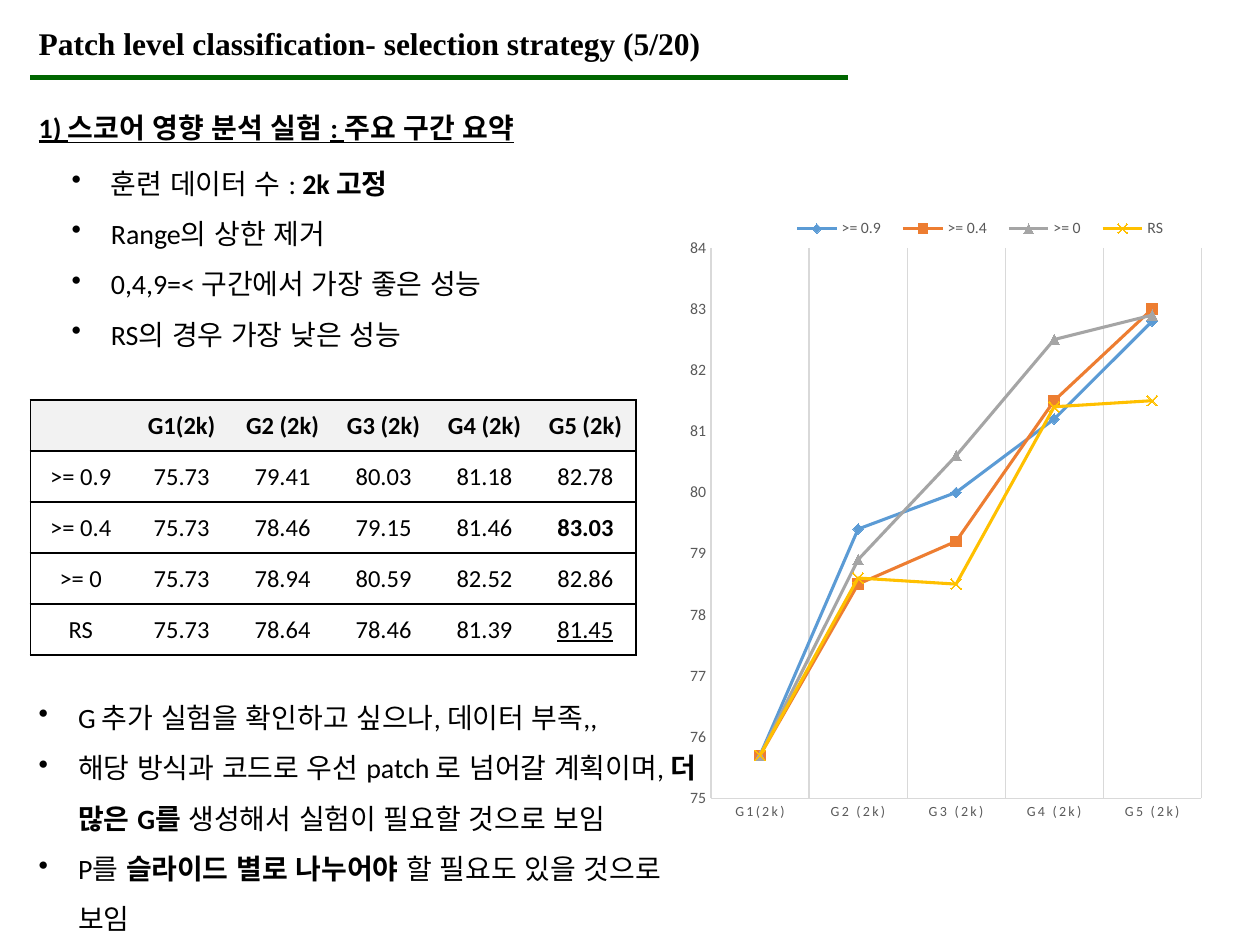
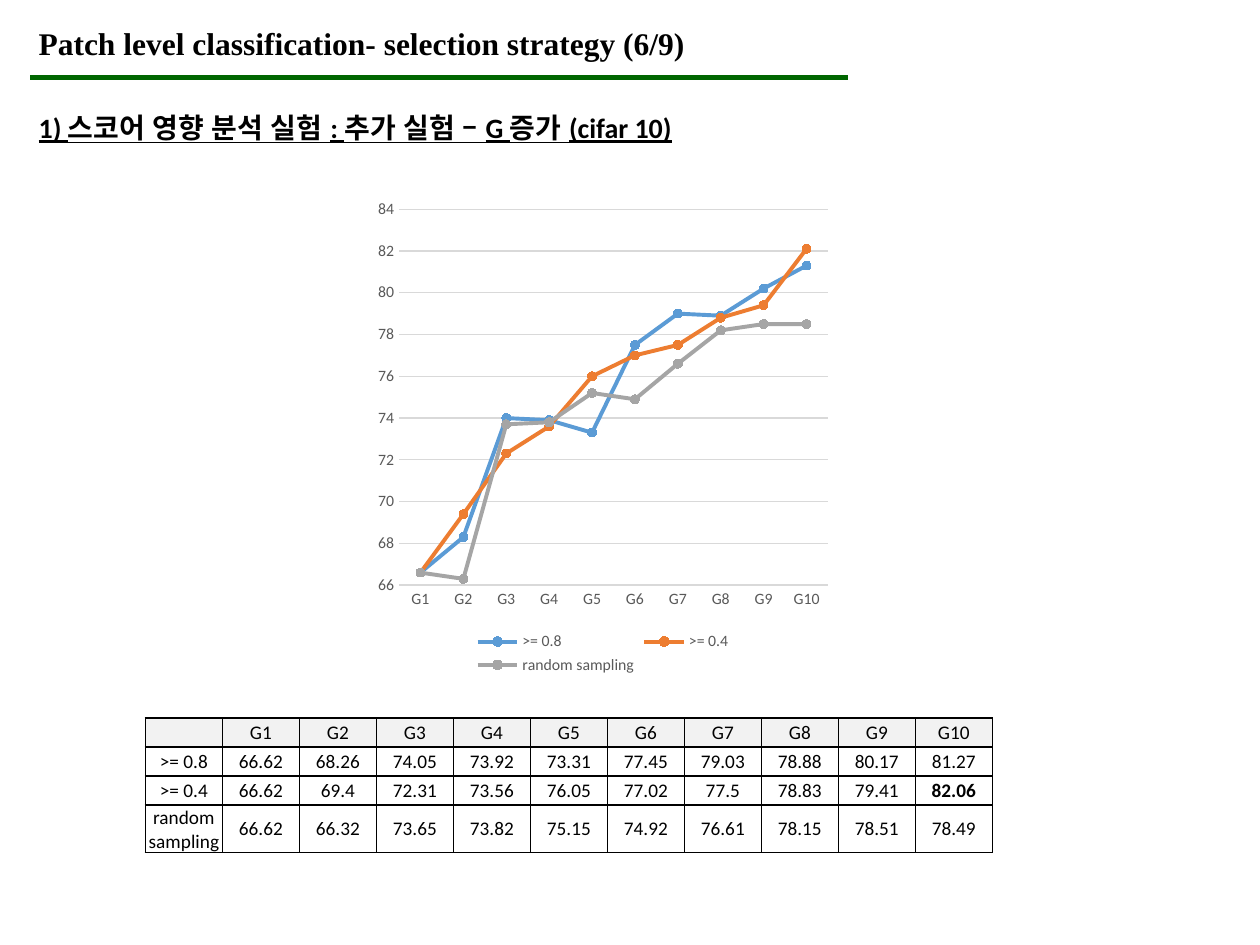
from dataclasses import dataclass

import pptx
import pptx.chart.data
import pptx.dml.color
import pptx.enum.chart
import pptx.enum.lang
import pptx.enum.shapes
import pptx.enum.text
import pptx.oxml.ns
import pptx.util
from lxml import etree

Pt = pptx.util.Pt
Marker = pptx.enum.chart.XL_MARKER_STYLE
Legend = pptx.enum.chart.XL_LEGEND_POSITION
qn = pptx.oxml.ns.qn


@dataclass(frozen=True)
class Theme:
    title_font: str = "Times New Roman"
    body_font: str = "Calibri"
    ink: str = "000000"
    rule: str = "006600"
    paper: str = "FFFFFF"
    header: str = "F2F2F2"
    grid: str = "D9D9D9"
    label: str = "595959"
    series: tuple = ("5B9BD5", "ED7D31", "A5A5A5", "FFC000")
    title_size: float = 18
    body_size: float = 16
    label_size: float = 9
    hairline: float = 0.75


def rgb(color):
    return pptx.dml.color.RGBColor.from_string(color)


def draw_line(line, color, width):
    line.color.rgb = rgb(color)
    line.width = Pt(width)


def place(part, index, fractions, inner=False):
    layout = part.find(qn("c:layout"))
    if layout is None:
        layout = etree.Element(qn("c:layout"))
        part.insert(index, layout)
    manual = etree.SubElement(layout, qn("c:manualLayout"))
    settings = [("layoutTarget", "inner")] if inner else []
    settings += [("xMode", "edge"), ("yMode", "edge"), *zip("xywh", map(str, fractions))]
    for tag, value in settings:
        etree.SubElement(manual, qn(f"c:{tag}")).set("val", value)


class Deck:
    def __init__(self, theme):
        self.theme = theme
        self.presentation = pptx.Presentation()
        self.presentation.slide_width = Pt(720)
        self.presentation.slide_height = Pt(540)
        self.slide = None

    def style(self, font, size, color=None, name=None):
        font.name = name or self.theme.body_font
        font.size = Pt(size)
        font.color.rgb = rgb(color or self.theme.ink)

    def start_slide(self, title, heading):
        self.slide = self.presentation.slides.add_slide(self.presentation.slide_layouts[6])
        self.rule()
        self.line_of_text(title, (15, 10, 430, 29), self.theme.title_size, self.theme.title_font)
        heading_text = self.line_of_text(heading, (15, 50, 552, 36), self.theme.body_size)
        heading_text.line_spacing = 1.5
        heading_font = heading_text.runs[0].font
        heading_font.underline = True
        heading_font.language_id = pptx.enum.lang.MSO_LANGUAGE_ID.KOREAN

    def rule(self):
        rule = self.slide.shapes.add_connector(
            pptx.enum.shapes.MSO_CONNECTOR.STRAIGHT, Pt(17.3), Pt(44.4), Pt(484.6), Pt(44.4))
        draw_line(rule.line, self.theme.rule, 3)
        etree.SubElement(rule._element.spPr, qn("a:effectLst"))

    def text_frame(self, box):
        frame = self.slide.shapes.add_textbox(*map(Pt, box)).text_frame
        frame.word_wrap = True
        return frame

    def line_of_text(self, text, box, size, font_name=None):
        paragraph = self.text_frame(box).paragraphs[0]
        paragraph.text = text
        font = paragraph.runs[0].font
        self.style(font, size, name=font_name)
        font.bold = True
        return paragraph

    def bullets(self, items, box):
        frame = self.text_frame(box)
        for index, item in enumerate(items):
            paragraph = frame.add_paragraph() if index else frame.paragraphs[0]
            paragraph.line_spacing = 1.5
            properties = paragraph._p.get_or_add_pPr()
            properties.set("marL", str(Pt(22.5)))
            properties.set("indent", str(-Pt(22.5)))
            etree.SubElement(properties, qn("a:buChar")).set("char", "•")
            for text, bold in item:
                run = paragraph.add_run()
                run.text = text
                self.style(run.font, self.theme.body_size)
                run.font.bold = bold
                run.font.language_id = pptx.enum.lang.MSO_LANGUAGE_ID.KOREAN

    def border(self, cell, edge, visible):
        line = etree.SubElement(cell._tc.get_or_add_tcPr(), qn(f"a:ln{edge}"))
        line.set("w", str(Pt(1)))
        if visible:
            fill = etree.SubElement(line, qn("a:solidFill"))
            etree.SubElement(fill, qn("a:srgbClr")).set("val", self.theme.ink)
        else:
            etree.SubElement(line, qn("a:noFill"))

    def table(self, categories, scores, position, column_width, row_heights, size,
              inner_lines=True, bold_header=False, bold=(), underlined=()):
        rows = [["", *categories]] + [[name, *map(str, values)] for name, values in scores.items()]
        count = len(rows[0])
        table = self.slide.shapes.add_table(
            len(rows), count, *map(Pt, position),
            Pt(column_width * count), Pt(sum(row_heights))).table
        for column in table.columns:
            column.width = Pt(column_width)
        for r, (row, height) in enumerate(zip(rows, row_heights)):
            table.rows[r].height = Pt(height)
            for c, text in enumerate(row):
                cell = table.cell(r, c)
                self.border(cell, "L", inner_lines or c == 0)
                self.border(cell, "R", inner_lines or c == count - 1)
                self.border(cell, "T", True)
                self.border(cell, "B", True)
                cell.fill.solid()
                cell.fill.fore_color.rgb = rgb(self.theme.paper if r else self.theme.header)
                cell.margin_left = cell.margin_right = cell.margin_top = Pt(0.7)
                cell.margin_bottom = 0
                cell.vertical_anchor = pptx.enum.text.MSO_ANCHOR.MIDDLE
                paragraph = cell.text_frame.paragraphs[0]
                paragraph.alignment = pptx.enum.text.PP_ALIGN.CENTER
                if not text:
                    etree.SubElement(paragraph._p, qn("a:endParaRPr")).set("sz", str(size * 100))
                    continue
                paragraph.text = text
                font = paragraph.runs[0].font
                self.style(font, size)
                font.bold = text in bold or (bold_header and r == 0)
                font.underline = text in underlined

    def axis(self, axis, size, line, grid):
        axis.major_tick_mark = axis.minor_tick_mark = pptx.enum.chart.XL_TICK_MARK.NONE
        self.style(axis.tick_labels.font, size, self.theme.label)
        axis.has_major_gridlines = grid
        if grid:
            draw_line(axis.major_gridlines.format.line, self.theme.grid, self.theme.hairline)
        if line:
            draw_line(axis.format.line, self.theme.grid, self.theme.hairline)
        else:
            axis.format.line.fill.background()

    def line_chart(self, categories, scores, box, lowest, step, legend, markers, marker_size,
                   line_width, category_size, vertical_grid):
        data = pptx.chart.data.CategoryChartData()
        data.categories = categories
        for name, values in scores.items():
            data.add_series(name, [round(value, 1) for value in values])
        chart = self.slide.shapes.add_chart(
            pptx.enum.chart.XL_CHART_TYPE.LINE_MARKERS, *map(Pt, box), data).chart
        self.style(chart.font, 10)
        chart.has_title = False
        chart.has_legend = True
        chart.legend.position = legend
        chart.legend.include_in_layout = False
        self.style(chart.legend.font, self.theme.label_size, self.theme.label)
        self.axis(chart.category_axis, category_size, True, vertical_grid)
        self.axis(chart.value_axis, self.theme.label_size, vertical_grid, not vertical_grid)
        if vertical_grid:
            chart.category_axis.tick_labels.font._element.set("spc", "120")
        chart.value_axis.minimum_scale = lowest
        chart.value_axis.maximum_scale = 84
        chart.value_axis.major_unit = step
        chart.plots[0].vary_by_categories = False
        for series, color, marker in zip(chart.plots[0].series, self.theme.series, markers):
            series.smooth = False
            draw_line(series.format.line, color, line_width)
            series.marker.style = marker
            series.marker.size = marker_size
            draw_line(series.marker.format.line, color, self.theme.hairline)
            if marker == Marker.X:
                series.marker.format.fill.background()
            else:
                series.marker.format.fill.solid()
                series.marker.format.fill.fore_color.rgb = rgb(color)
        return chart


def score_ranges(deck):
    generations = ["G1(2k)", "G2 (2k)", "G3 (2k)", "G4 (2k)", "G5 (2k)"]
    scores = {
        ">= 0.9": [75.73, 79.41, 80.03, 81.18, 82.78],
        ">= 0.4": [75.73, 78.46, 79.15, 81.46, 83.03],
        ">= 0": [75.73, 78.94, 80.59, 82.52, 82.86],
        "RS": [75.73, 78.64, 78.46, 81.39, 81.45],
    }
    deck.start_slide("Patch level classification- selection strategy (5/20)",
                     "1) 스코어 영향 분석 실험 : 주요 구간 요약")
    deck.table(generations, scores, (17.3, 228.6), 57.7, [29.15] * 5, 14, inner_lines=False,
               bold_header=True, bold=["83.03"], underlined=["81.45"])
    chart = deck.line_chart(
        generations, scores, (388, 108.7, 304.6, 365.8), 75, 1, Legend.TOP,
        [Marker.DIAMOND, Marker.SQUARE, Marker.TRIANGLE, Marker.X], 6, 1.75, 8, True)
    place(chart.legend._element, 1, (0.19, 0.03, 0.75, 0.06))
    place(chart._chartSpace.chart.plotArea, 0, (0.06, 0.09, 0.92, 0.86), inner=True)
    deck.bullets([
        [("훈련 데이터 수 : ", False), ("2k 고정", True)],
        [("Range의 상한 제거", False)],
        [("0,4,9=< 구간에서 가장 좋은 성능", False)],
        [("RS의 경우 가장 낮은 성능", False)],
    ], (33.8, 81.8, 336, 124))
    deck.bullets([
        [("G 추가 실험을 확인하고 싶으나, 데이터 부족,,", False)],
        [("해당 방식과 코드로 우선 patch 로 넘어갈 계획이며, ", False), ("더 많은 G를 ", True),
         ("생성해서 실험이 필요할 것으로 보임", False)],
        [("P를 ", False), ("슬라이드 별로 나누어야 ", True),
         ("할 필요도 있을 것으로 보임", False)],
    ], (15, 387.2, 392.4, 152.6))


def more_generations(deck):
    generations = [f"G{number}" for number in range(1, 11)]
    scores = {
        ">= 0.8": [66.62, 68.26, 74.05, 73.92, 73.31, 77.45, 79.03, 78.88, 80.17, 81.27],
        ">= 0.4": [66.62, 69.4, 72.31, 73.56, 76.05, 77.02, 77.5, 78.83, 79.41, 82.06],
        "random sampling": [66.62, 66.32, 73.65, 73.82, 75.15, 74.92, 76.61, 78.15, 78.51, 78.49],
    }
    deck.start_slide("Patch level classification- selection strategy (6/9)",
                     "1) 스코어 영향 분석 실험 : 추가 실험 – G 증가 (cifar 10)")
    deck.table(generations, scores, (83.1, 410.2), 44, [16.6, 16.6, 16.6, 27.2], 11,
               bold=["82.06"])
    deck.line_chart(generations, scores, (210.7, 108.7, 267.8, 279.4), 66, 2, Legend.BOTTOM,
                    [Marker.CIRCLE] * 3, 5, 2.25, 9, False)


def main():
    deck = Deck(Theme())
    score_ranges(deck)
    more_generations(deck)
    deck.presentation.save("out.pptx")


if __name__ == "__main__":
    main()
